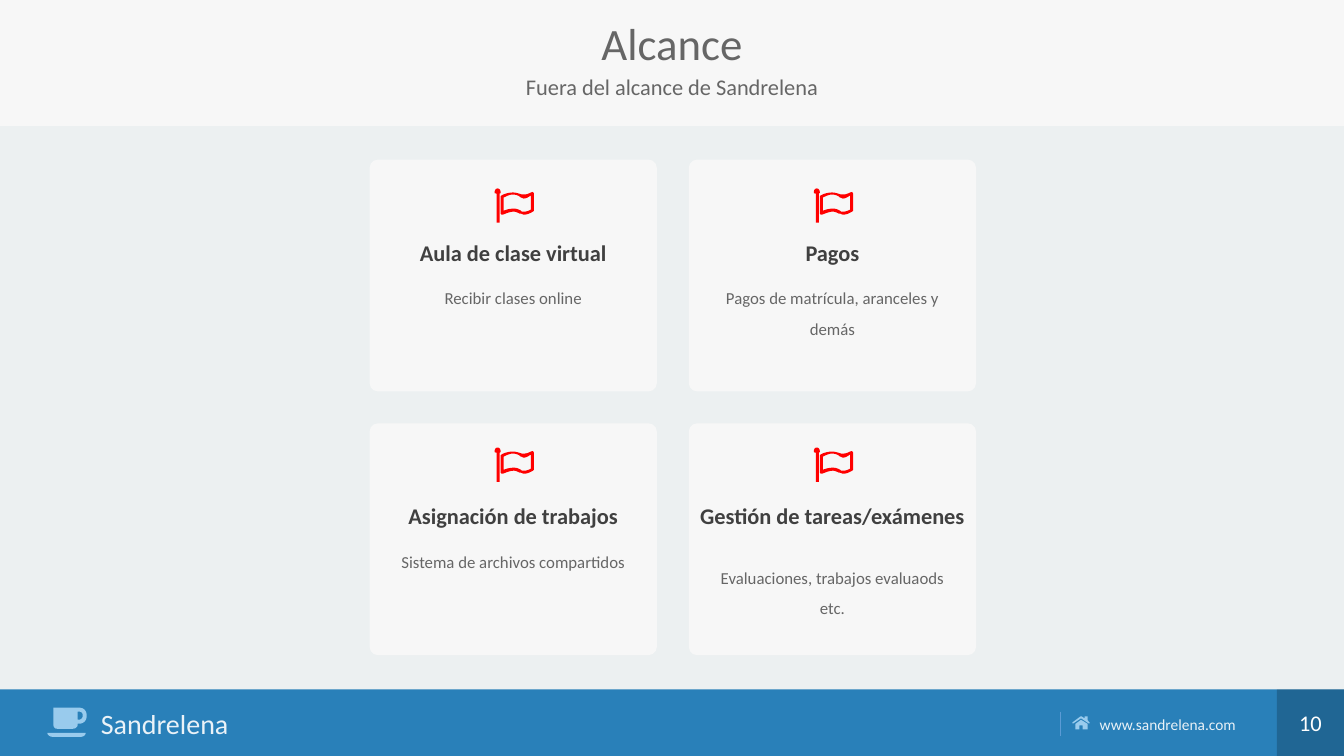
from lxml.etree import SubElement
from pptx import Presentation
from pptx.dml.color import RGBColor
from pptx.enum.shapes import MSO_CONNECTOR, MSO_SHAPE
from pptx.enum.text import MSO_ANCHOR, PP_ALIGN
from pptx.oxml.ns import qn
from pptx.util import Emu, Inches, Pt

COLUMNS, ROWS = 80, 45
CURVE_STEPS = 8
ICON_DETAIL = 100

FLAG = [
    [(5, 5), (5, 34), (2, 34), (2, 5), (1, 5, 0, 5, 0, 4), (0, 2, 1, 0, 3, 0),
     (5, 0, 6, 2, 6, 4), (6, 5, 5, 5, 5, 5)],
    [(39, 22), (38, 23), (36, 24, 33, 26, 29, 26), (28, 26, 27, 25, 26, 25), (25, 25),
     (23, 24, 21, 23, 19, 23), (15, 23, 11, 25, 8, 26), (7, 26), (6, 25), (6, 8),
     (6, 8, 6, 7, 7, 7), (8, 6, 13, 4, 18, 4), (21, 4, 24, 5, 27, 6), (29, 6),
     (32, 6, 34, 5, 36, 4), (38, 3.5), (39, 5)],
    [(36, 7), (34, 8, 32, 10, 29, 10), (28, 10, 27, 9, 26, 9), (24, 7, 21, 6, 18, 6),
     (15, 6, 11, 8, 9, 9), (9, 22), (12, 21, 15, 20, 19, 20), (22, 20, 24, 21, 26, 22),
     (27, 23), (29, 23), (32, 23, 34, 22, 36, 21)],
]
CUP = [
    [(38, 25), (38, 27, 36, 29, 33, 29), (6, 29), (2, 29, 0, 27, 0, 25)],
    [(31, 16), (30, 16), (30, 17), (30, 19, 28, 21, 25, 21), (10, 21),
     (7, 21, 6, 19, 6, 17), (6, 0), (31, 0), (36, 0, 39, 3, 39, 8), (39, 13, 36, 16, 31, 16)],
    [(31, 4), (30, 4), (30, 12), (31, 12), (34, 12, 35, 10, 35, 8), (35, 5, 34, 4, 31, 4)],
]
HOUSE = [
    [(16, 7), (8.5, 2), (1, 7), (0, 7), (0, 6), (8, 0), (9, 0), (12, 2), (12, 0),
     (15, 0), (15, 4), (17, 6), (17, 7)],
    [(15, 13), (10, 13), (10, 9), (7, 9), (7, 13), (3, 13), (3, 7.5), (8.5, 3.5), (15, 7.5)],
]


def paint(fill, color, alpha=None):
    fill.solid()
    fill.fore_color.rgb = RGBColor.from_string(color)
    if alpha is not None:
        element = fill._xPr.find(qn("a:solidFill"))[0]
        SubElement(element, qn("a:alpha"), val=str(alpha * 1000))


def flatten(outline):
    points = [outline[0]]
    for segment in outline[1:]:
        if len(segment) == 2:
            points.append(segment)
            continue
        corners = [points[-1], segment[:2], segment[2:4], segment[4:]]
        for step in range(1, CURVE_STEPS + 1):
            t = step / CURVE_STEPS
            weights = ((1 - t) ** 3, 3 * t * (1 - t) ** 2, 3 * t * t * (1 - t), t ** 3)
            points.append(tuple(sum(weight * corner[axis] for weight, corner in zip(weights, corners))
                                for axis in (0, 1)))
    return [(x * ICON_DETAIL, y * ICON_DETAIL) for x, y in points]


class SlideBuilder:
    font = "Calibri"
    panel = "F7F7F7"
    grey = "666666"
    white = "FFFFFF"

    def __init__(self, presentation, background):
        self.slide = presentation.slides.add_slide(presentation.slide_layouts[6])
        self.shapes = self.slide.shapes
        self.column = presentation.slide_width / COLUMNS
        self.row = presentation.slide_height / ROWS
        paint(self.slide.background.fill, background)

    def grid(self, column, row):
        return Emu(round(column * self.column)), Emu(round(row * self.row))

    def finish(self, shape, color, alpha=None):
        shape.shadow.inherit = False
        shape.line.fill.background()
        paint(shape.fill, color, alpha)

    def box(self, column, row, columns, rows, color, alpha=None, corner=None):
        kind = MSO_SHAPE.RECTANGLE if corner is None else MSO_SHAPE.ROUNDED_RECTANGLE
        shape = self.shapes.add_shape(kind, *self.grid(column, row), *self.grid(columns, rows))
        if corner is not None:
            shape.adjustments[0] = corner
        self.finish(shape, color, alpha)

    def icon(self, outlines, column, row, color):
        first, *others = [flatten(outline) for outline in outlines]
        builder = self.shapes.build_freeform(*first[0], scale=Inches(0.01) / ICON_DETAIL)
        builder.add_line_segments(first[1:], close=True)
        for points in others:
            builder.move_to(*points[0])
            builder.add_line_segments(points[1:], close=True)
        self.finish(builder.convert_to_shape(*self.grid(column, row)), color)

    def line(self, start, end, color, width):
        connector = self.shapes.add_connector(MSO_CONNECTOR.STRAIGHT, *self.grid(*start), *self.grid(*end))
        paint(connector.line.fill, color)
        connector.line.width = Pt(width)
        SubElement(connector._element.spPr, qn("a:effectLst"))

    def text(self, text, column, row, columns, rows, size, color=grey, alpha=None, bold=False,
             align=PP_ALIGN.CENTER, anchor=MSO_ANCHOR.TOP, spacing=1.0, inset=0, wrap=True):
        shape = self.shapes.add_textbox(*self.grid(column, row), *self.grid(columns, rows))
        frame = shape.text_frame
        frame.word_wrap = wrap
        frame.vertical_anchor = anchor
        frame.margin_left = frame.margin_right = self.grid(inset, 0)[0]
        frame.margin_top = frame.margin_bottom = 0
        paragraph = frame.paragraphs[0]
        paragraph.alignment = align
        paragraph.line_spacing = spacing
        run = paragraph.add_run()
        run.text = text
        run.font.name = self.font
        run.font.size = Pt(size)
        run.font.bold = bold
        paint(run.font.fill, color, alpha)

    def card(self, column, row, flag_row, body_row, title, body):
        width = 17.1
        self.box(column, row, width, 13.8, self.panel, corner=0.036)
        self.icon(FLAG, column + 7.44, row + flag_row, "FF0000")
        self.text(title, column, row + 4.9, width, 1.68, 16, "404040", bold=True, spacing=0.9)
        self.text(body, column, row + body_row, width, 5.1, 12, spacing=1.5, inset=1.8)

    def header(self, title, subtitle):
        self.box(0, 0, COLUMNS, 7.5, self.panel)
        self.text(title, 3, 1.32, 74, 3.24, 32, spacing=0.9)
        self.text(subtitle, 3, 4.56, 74, 1.62, 16, spacing=0.9)

    def footer(self, name, address, number):
        top, height, pale = 41.04, 3.96, "99CBED"
        self.box(0, top, COLUMNS, height, "2980B9")
        self.text(name, 6, 42.06, 10.32, 2.04, 20, self.white, 90, align=PP_ALIGN.LEFT)
        self.icon(CUP, 2.82, 42.12, pale)
        self.line((63.12, 42.36), (63.12, 43.8), "5B9BD5", 1)
        self.icon(HOUSE, 63.84, 42.64, pale)
        self.text(address, 65.46, 42.54, 9.12, 1.14, 11, self.white, 90, align=PP_ALIGN.LEFT, wrap=False)
        self.box(76, top, 4, height, "000000", alpha=20)
        self.text(number, 76, top, 4, height, 16, self.white, anchor=MSO_ANCHOR.MIDDLE)


def main():
    presentation = Presentation()
    presentation.slide_width = Inches(13.333)
    presentation.slide_height = Inches(7.5)
    builder = SlideBuilder(presentation, "ECF0F1")
    builder.header("Alcance", "Fuera del alcance de Sandrelena")
    left, right, upper, lower = 22, 41, 9.5, 25.2
    cards = [
        (left, upper, 1.72, 7.05, "Aula de clase virtual", "Recibir clases online"),
        (right, upper, 1.72, 7.05, "Pagos", "Pagos de matrícula, aranceles y demás"),
        (left, lower, 1.44, 7.05, "Asignación de trabajos", "Sistema de archivos compartidos"),
        (right, lower, 1.44, 8, "Gestión de tareas/exámenes", "Evaluaciones, trabajos evaluaods etc."),
    ]
    for card in cards:
        builder.card(*card)
    builder.footer("Sandrelena", "www.sandrelena.com", "10")
    presentation.save("out.pptx")


if __name__ == "__main__":
    main()
